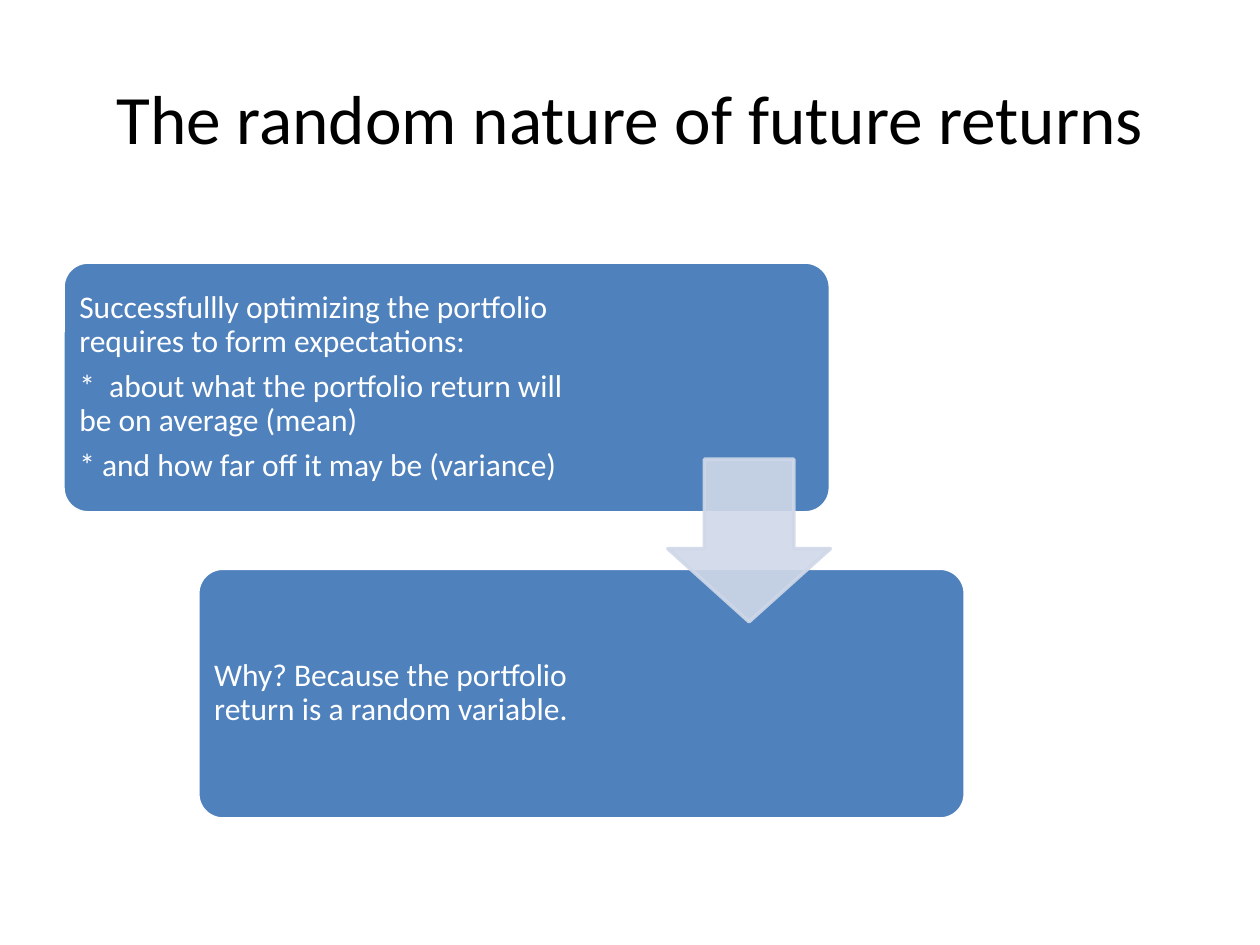
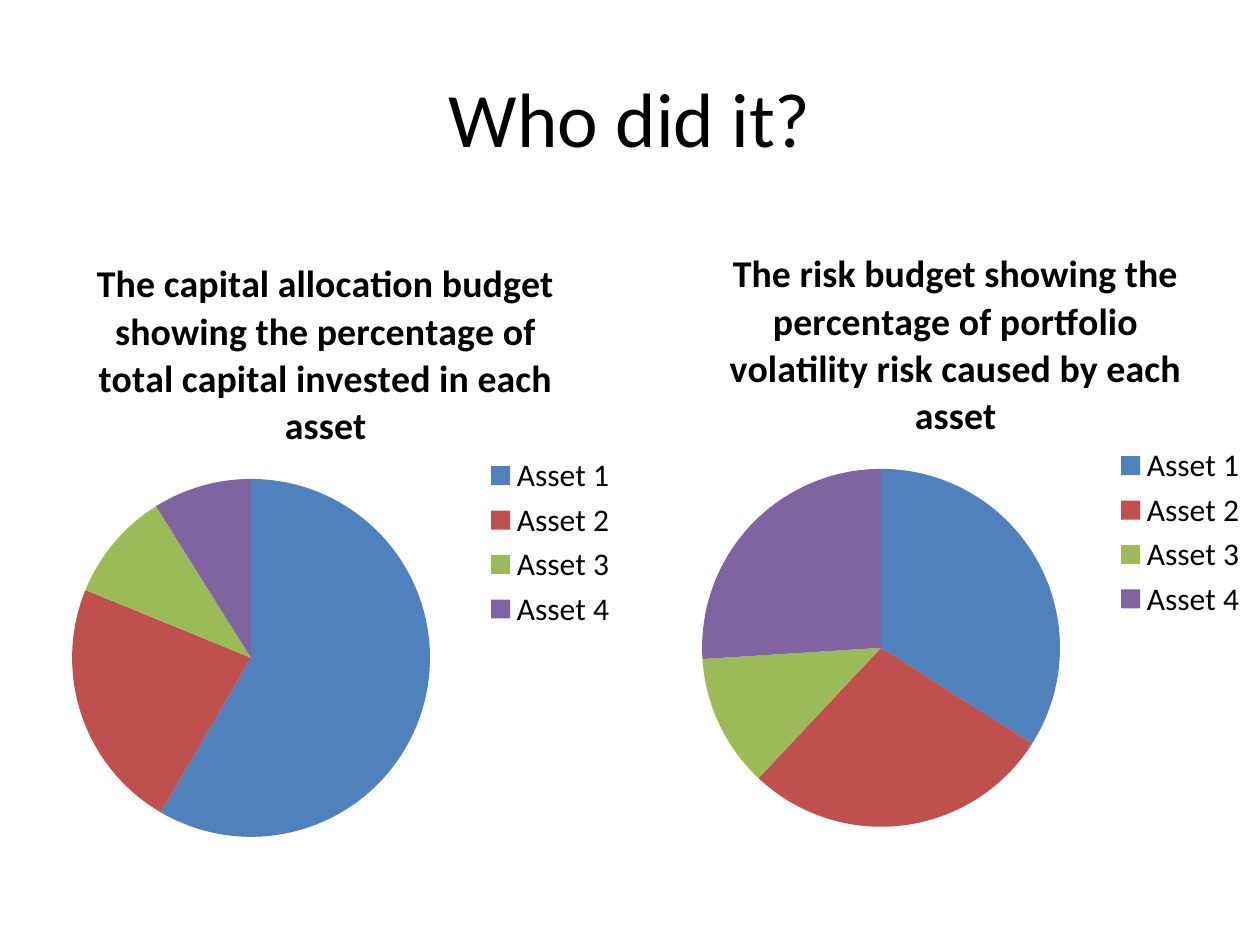
from lxml import etree
from pptx import Presentation
from pptx.chart.data import CategoryChartData
from pptx.dml.color import RGBColor
from pptx.enum.chart import XL_CHART_TYPE, XL_LEGEND_POSITION
from pptx.enum.shapes import MSO_SHAPE
from pptx.enum.text import MSO_ANCHOR, MSO_AUTO_SIZE, PP_ALIGN
from pptx.oxml.ns import qn
from pptx.util import Inches, Pt

FONT = "Calibri"
BLACK = RGBColor(0x00, 0x00, 0x00)
WHITE = RGBColor(0xFF, 0xFF, 0xFF)
BLUE = RGBColor(0x4F, 0x81, 0xBD)
RED = RGBColor(0xC0, 0x50, 0x4D)
GREEN = RGBColor(0x9B, 0xBB, 0x59)
PURPLE = RGBColor(0x80, 0x64, 0xA2)
PALE_BLUE = RGBColor(0xD0, 0xD8, 0xE8)

# Each step: its paragraphs and the width of its text
STEPS_TITLE = "The random nature of future returns"
STEPS = [
    (["Successfullly optimizing the portfolio requires to form expectations:",
      "*  about what the portfolio return will be on average (mean) ",
      "* and how far off it may be (variance)"], 4.04),
    (["Why? Because the portfolio return is a random variable."], 3.61),
]
STEP_LEFT, STEP_TOP = 0.5, 2.08
STEP_WIDTH, STEP_HEIGHT = 6.09, 1.99
STEP_RIGHT, STEP_DOWN = 1.07, 2.43
TEXT_MARGIN = 0.06
ARROW_SIZE = 1.29

# Each budget: left, top, title and one value per asset
BUDGETS_TITLE = "Who did it?"
ASSETS = ["Asset 1", "Asset 2", "Asset 3", "Asset 4"]
ASSET_COLOURS = [BLUE, RED, GREEN, PURPLE]
BUDGETS = [
    (5.17, 1.75, "The risk budget showing the percentage of portfolio "
     "volatility risk caused by each asset", [34, 28, 12, 26]),
    (0.17, 1.83, "The capital allocation budget showing the percentage of "
     "total capital invested in each asset", [59, 23, 10, 9]),
]
CHART_WIDTH, CHART_HEIGHT = 4.83, 4.95


def set_font(font, size, colour, bold=False):
    """Give a font its face, size, colour and weight."""
    font.name, font.size, font.bold = FONT, Pt(size), bold
    font.color.rgb = colour


def write(frame, lines, size=18, colour=BLACK, align=PP_ALIGN.LEFT,
          inset=None, line_spacing=None, space_after=None):
    """Fill a text frame with one formatted paragraph per line."""
    frame.word_wrap = True
    frame.auto_size = MSO_AUTO_SIZE.NONE
    frame.vertical_anchor = MSO_ANCHOR.MIDDLE
    if inset is not None:
        frame.margin_left = frame.margin_right = Inches(inset)
        frame.margin_top = frame.margin_bottom = Inches(inset)
    for index, line in enumerate(lines):
        para = frame.paragraphs[0] if index == 0 else frame.add_paragraph()
        para.alignment = align
        para.line_spacing = line_spacing
        if space_after is not None:
            para.space_after = Pt(space_after)
        span = para.add_run()
        span.text = line
        set_font(span.font, size, colour)


def add_page(deck, title, size):
    """Add a title-only slide with a centred title."""
    page = deck.slides.add_slide(deck.slide_layouts[5])
    box = page.shapes.title
    box.left, box.top = Inches(0.5), Inches(0.3)
    box.width, box.height = Inches(9), Inches(1.25)
    write(box.text_frame, [title], size=size, align=PP_ALIGN.CENTER)
    return page


def add_block(page, kind, left, top, width, height, fill, line, adjust):
    """Add a preset shape with a flat fill and a 2 pt outline."""
    shape = page.shapes.add_shape(kind, Inches(left), Inches(top),
                                  Inches(width), Inches(height))
    shape.shadow.inherit = False
    for index, value in enumerate(adjust):
        shape.adjustments[index] = value
    shape.fill.solid()
    shape.fill.fore_color.rgb = fill
    shape.line.color.rgb = line
    shape.line.width = Pt(2)
    return shape


def set_opacity(shape, percent):
    """Make the fill and outline of a shape partly transparent."""
    for colour in shape.element.spPr.iter(qn("a:srgbClr")):
        etree.SubElement(colour, qn("a:alpha"), val=str(percent * 1000))


def add_step(page, index, lines, text_width):
    """Add one rounded step of the staircase and its text."""
    left = STEP_LEFT + index * STEP_RIGHT
    top = STEP_TOP + index * STEP_DOWN
    add_block(page, MSO_SHAPE.ROUNDED_RECTANGLE, left, top, STEP_WIDTH,
              STEP_HEIGHT, BLUE, WHITE, [0.1])
    box = page.shapes.add_textbox(
        Inches(left + TEXT_MARGIN), Inches(top + TEXT_MARGIN),
        Inches(text_width), Inches(STEP_HEIGHT - 2 * TEXT_MARGIN))
    write(box.text_frame, lines, colour=WHITE, inset=0.07,
          line_spacing=0.9, space_after=6.3)


def add_arrow(page):
    """Add the arrow that bridges the gap between the two steps."""
    left = STEP_LEFT + STEP_WIDTH - ARROW_SIZE
    gap_middle = STEP_TOP + (STEP_HEIGHT + STEP_DOWN) / 2
    arrow = add_block(page, MSO_SHAPE.DOWN_ARROW, left,
                      gap_middle - ARROW_SIZE / 2, ARROW_SIZE, ARROW_SIZE,
                      PALE_BLUE, PALE_BLUE, [0.55, 0.45])
    set_opacity(arrow, 90)


def add_budget(page, left, top, title, values):
    """Add a pie chart with a bold title and a legend on the right."""
    data = CategoryChartData()
    data.categories = ASSETS
    data.add_series(title, values)
    chart = page.shapes.add_chart(
        XL_CHART_TYPE.PIE, Inches(left), Inches(top), Inches(CHART_WIDTH),
        Inches(CHART_HEIGHT), data).chart
    set_font(chart.font, 18, BLACK)
    chart.has_title = True
    para = chart.chart_title.text_frame.paragraphs[0]
    span = para.add_run()
    span.text = title
    set_font(span.font, 21.6, BLACK, bold=True)
    chart.has_legend = True
    chart.legend.position = XL_LEGEND_POSITION.RIGHT
    chart.legend.include_in_layout = False
    set_font(chart.legend.font, 18, BLACK)
    plot = chart.plots[0]
    plot.vary_by_categories = True
    for index, colour in enumerate(ASSET_COLOURS):
        fill = plot.series[0].points[index].format.fill
        fill.solid()
        fill.fore_color.rgb = colour


def main():
    """Build and save the deck."""
    deck = Presentation()
    deck.slide_width, deck.slide_height = Inches(10), Inches(7.5)

    page = add_page(deck, STEPS_TITLE, 39.6)
    for index, (lines, text_width) in enumerate(STEPS):
        add_step(page, index, lines, text_width)
    add_arrow(page)

    page = add_page(deck, BUDGETS_TITLE, 44)
    for budget in BUDGETS:
        add_budget(page, *budget)

    deck.save("out.pptx")


main()
